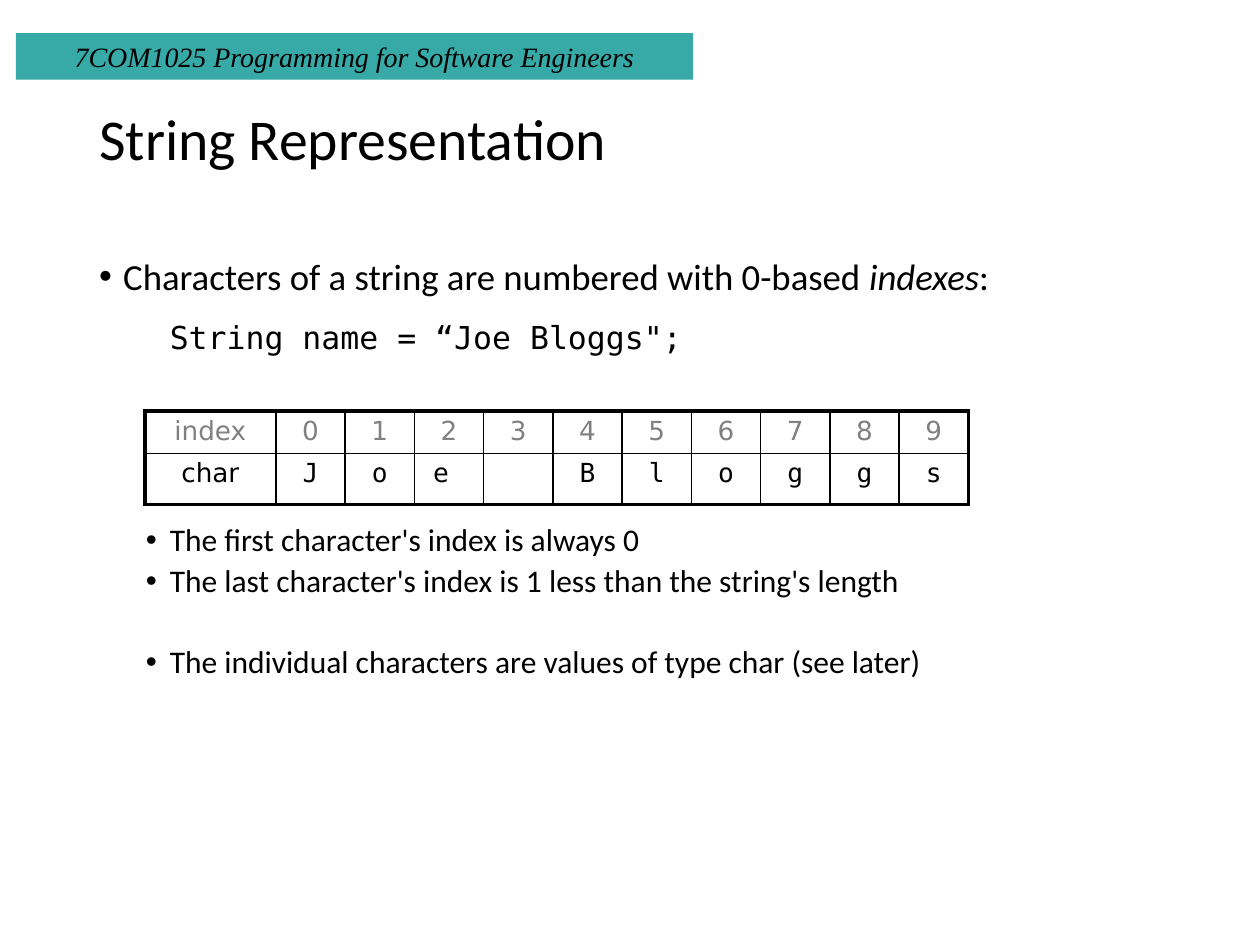
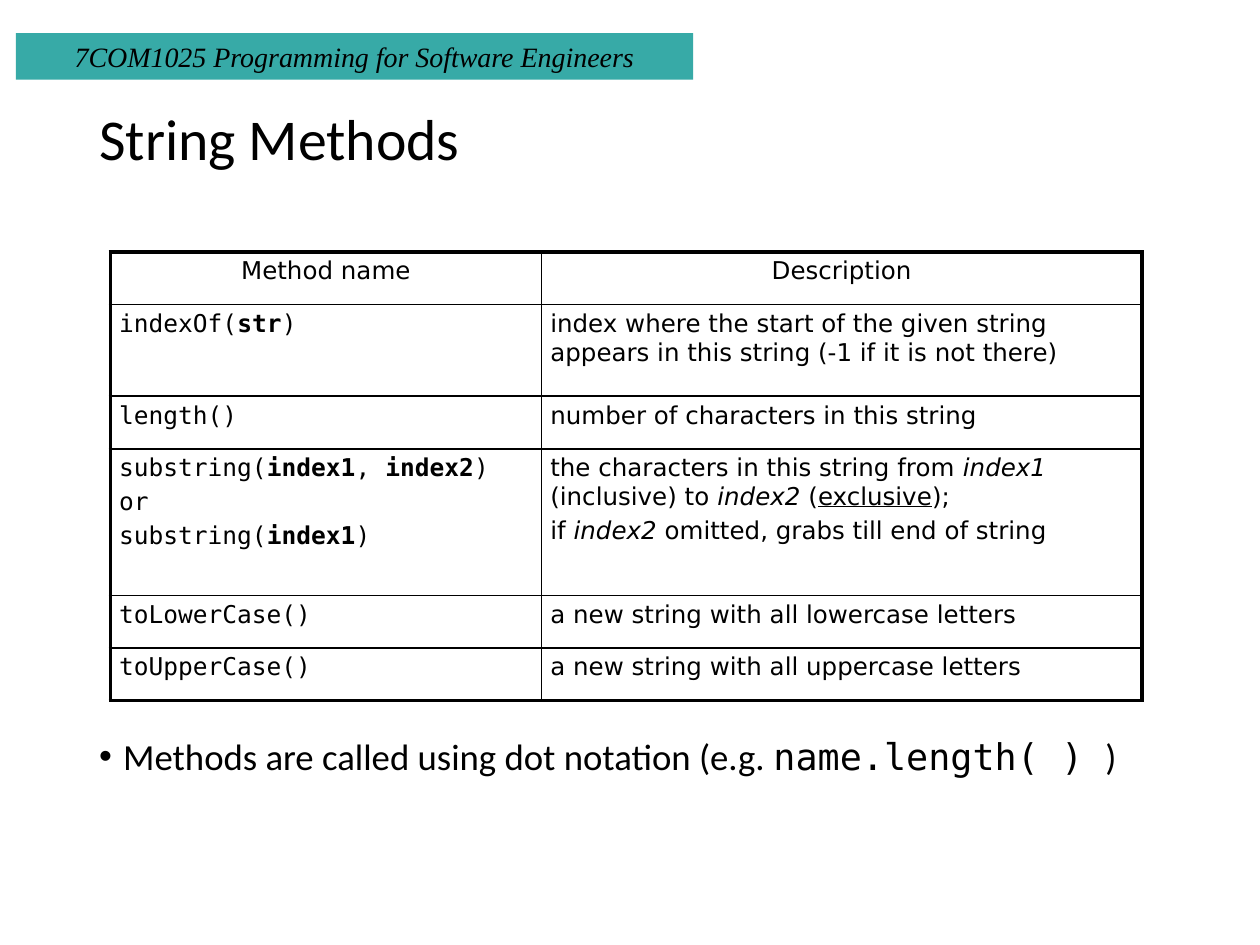
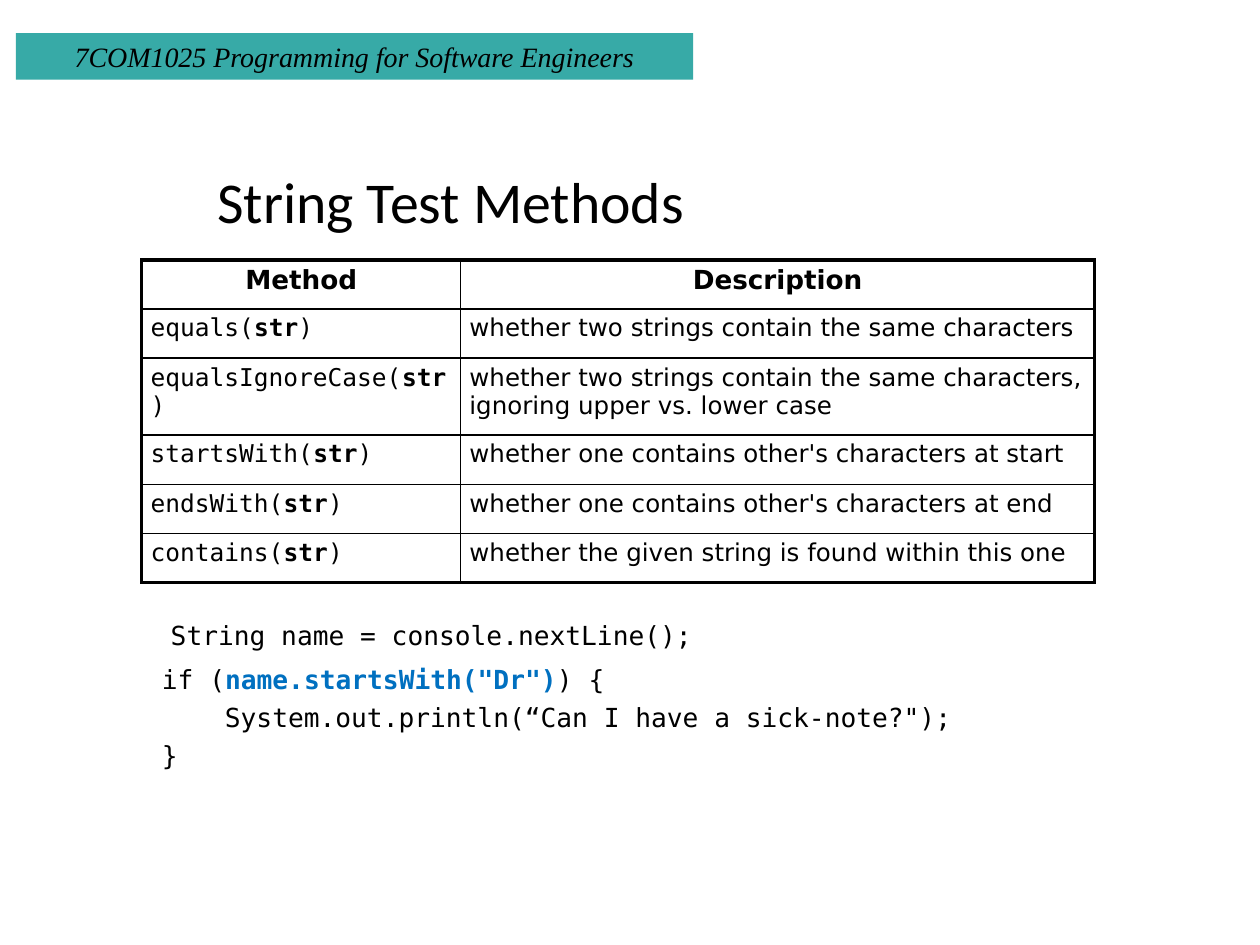
from lxml import etree
from pptx import Presentation
from pptx.dml.color import RGBColor
from pptx.enum.shapes import MSO_SHAPE
from pptx.enum.text import MSO_ANCHOR, MSO_AUTO_SIZE, PP_ALIGN
from pptx.oxml.ns import qn
from pptx.util import Inches, Pt

RECTANGLE = MSO_SHAPE.RECTANGLE
LEFT, CENTER = PP_ALIGN.LEFT, PP_ALIGN.CENTER
TOP, MIDDLE = MSO_ANCHOR.TOP, MSO_ANCHOR.MIDDLE
NO_FIT = MSO_AUTO_SIZE.NONE

WIDTH, HEIGHT = Inches(10), Inches(7.5)
UNIT = WIDTH / 80  # the slide is a grid of 80 columns by 60 rows

BLACK, GREY, TEAL, BLUE = "000000", "808080", "37AAA7", "0070C0"
SANS, MONO = "DejaVu Sans", "DejaVu Sans Mono"
BOLD, ITALIC, UNDERLINE = {"bold": True}, {"italic": True}, {"underline": True}

BAND = {"name": "Times New Roman", "size": Pt(16), "italic": True}
TITLE = {"name": "Calibri", "size": Pt(33)}
POINT = {"name": "Calibri", "size": Pt(21)}
SUBPOINT = {"name": "Calibri", "size": Pt(18)}
CODE = {"name": MONO, "size": Pt(15)}
CELL = {"name": SANS, "size": Pt(14)}
CELL_CODE = CELL | {"name": MONO}

TITLE_BOX = (5.5, 3.2, 69, 11.6)
OUTER, INNER = Pt(2.25), Pt(1)


def color(hex_string):
    return RGBColor.from_string(hex_string)


def grid(box):
    return [round(value * UNIT) for value in box]


def set_values(target, values):
    for name, value in values.items():
        setattr(target, name, value)


def write(para, spans, look, **layout):
    """Fill a paragraph with spans, each a string or a (string, format) pair."""
    set_values(para, layout)
    for item in [spans] if isinstance(spans, str) else spans:
        text, extra = (item, {}) if isinstance(item, str) else item
        values = {"color": BLACK} | look | extra
        span = para.add_run()
        span.text = text
        span.font.color.rgb = color(values.pop("color"))
        set_values(span.font, values)


def paragraphs(frame, count):
    return [frame.paragraphs[0]] + [frame.add_paragraph() for _ in range(count - 1)]


def place(shape, box):
    set_values(shape, dict(zip(("left", "top", "width", "height"), grid(box))))


def add_band(deck, page):
    """Draw the course band and move it to the slide master."""
    band = page.shapes.add_shape(RECTANGLE, *grid((1, 2.1, 43, 2.96)))
    band.shadow.inherit = False
    band.fill.solid()
    band.fill.fore_color.rgb = color(TEAL)
    band.line.fill.background()
    write(band.text_frame.paragraphs[0], "7COM1025 Programming for Software Engineers",
          BAND, alignment=CENTER)
    deck.slide_master.shapes[0].element.addprevious(band.element)


def add_page(deck, title, box=TITLE_BOX):
    page = deck.slides.add_slide(deck.slide_layouts[1])
    place(page.shapes.title, box)
    frame = page.shapes.title.text_frame
    set_values(frame, {"auto_size": NO_FIT, "vertical_anchor": MIDDLE})
    write(frame.paragraphs[0], title, TITLE, alignment=LEFT, line_spacing=0.9)
    return page


def indent(para, margin, hanging, bullet):
    props = para._p.get_or_add_pPr()
    props.set("marL", str(Inches(margin)))
    props.set("indent", str(-Inches(hanging)))
    if bullet:
        etree.SubElement(props, qn("a:buChar")).set("char", "•")
    else:
        etree.SubElement(props, qn("a:buNone"))


def add_body(page, box, lines, line_spacing=0.9):
    """Fill the body with (spans, format, level, margin, space before, bullet) lines."""
    body = page.placeholders[1]
    place(body, box)
    frame = body.text_frame
    set_values(frame, {"auto_size": NO_FIT, "vertical_anchor": TOP, "word_wrap": True})
    for para, line in zip(paragraphs(frame, len(lines)), lines):
        spans, look, level, margin, before, bullet = line
        write(para, spans, look, level=level, alignment=LEFT,
              line_spacing=line_spacing, space_before=Pt(before), space_after=Pt(0))
        indent(para, margin, 0.19 if bullet else 0, bullet)


def point(*spans):
    return spans, POINT, 0, 0.19, 7.5, True


def subpoint(text, before=3.8):
    return text, SUBPOINT, 1, 0.56, before, True


def code(*spans, size=15, margin=0.56, before=0):
    return spans, CODE | {"size": Pt(size)}, 1, margin, before, False


def set_borders(cell, widths):
    """Draw left, right, top and bottom borders of the given widths."""
    props = cell._tc.get_or_add_tcPr()
    for place_in_order, (side, width) in enumerate(zip("LRTB", widths)):
        line = etree.Element(qn(f"a:ln{side}"), w=str(width))
        fill = etree.SubElement(line, qn("a:solidFill"))
        etree.SubElement(fill, qn("a:srgbClr")).set("val", BLACK)
        props.insert(place_in_order, line)


def fill_cell(cell, lines, look, alignment):
    set_values(cell, {"margin_left": Inches(0.07), "margin_right": Inches(0.07),
                      "margin_top": Inches(0.04), "margin_bottom": Inches(0.04)})
    cell.fill.background()
    for para, spans in zip(paragraphs(cell.text_frame, len(lines)), lines):
        write(para, spans, look, alignment=alignment, space_before=Pt(look["size"].pt * 0.2))


def add_grid_table(page, box, column_shares, row_shares, rows):
    """Add a table whose rows hold (lines, format, alignment) cells."""
    left, top, width, height = grid(box)
    table = page.shapes.add_table(len(rows), len(column_shares),
                                  left, top, width, height).table
    set_values(table, {"first_row": False, "horz_banding": False})
    for column, share in zip(table.columns, column_shares):
        column.width = round(width * share / sum(column_shares))
    for row, share in zip(table.rows, row_shares):
        row.height = round(height * share / sum(row_shares))
    last_row, last_column = len(rows) - 1, len(column_shares) - 1
    for r, row in enumerate(rows):
        for c, content in enumerate(row):
            cell = table.cell(r, c)
            fill_cell(cell, *content)
            edges = (c == 0, c == last_column, r == 0, r == last_row)
            set_borders(cell, [OUTER if edge else INNER for edge in edges])


def add_method_table(page, box, column_shares, row_shares, headings, heading_look, methods):
    rows = [[([heading], heading_look, CENTER) for heading in headings]]
    rows += [[(calls, CELL_CODE, LEFT), (notes, CELL, LEFT)] for calls, notes in methods]
    add_grid_table(page, box, column_shares, row_shares, rows)


def call(name, *arguments):
    """Give the spans of a method call with its arguments in bold."""
    spans = [name + "("]
    for number, argument in enumerate(arguments):
        spans += [", "] if number else []
        spans.append((argument, BOLD))
    return spans + [")"]


def add_representation(deck):
    page = add_page(deck, "String Representation")
    add_band(deck, page)
    add_body(page, (5.5, 16, 69, 38), [
        point("Characters of a string are numbered with 0-based ", ("indexes", ITALIC), ":"),
        code("String name = “Joe Bloggs\";", size=18, before=14),
        subpoint("The first character's index is always 0", before=96),
        subpoint("The last character's index is 1 less than the string's length"),
        subpoint("The individual characters are values of type char (see later)", before=27),
    ])
    label = CELL | {"size": Pt(15)}
    letters = ["J", "o", "e ", "", "B", "l", "o", "g", "g", "s"]
    indexes = ["index", *map(str, range(len(letters)))]
    rows = [
        [([text], label | {"color": GREY}, CENTER) for text in indexes],
        [(["char"], label, CENTER)]
        + [([letter] if letter else [[]], CODE, CENTER) for letter in letters],
    ]
    add_grid_table(page, (9.2, 26.1, 52.3, 5.95), [1.04] + [0.55] * len(letters),
                   [0.34, 0.41], rows)


def add_methods(deck):
    page = add_page(deck, "String Methods")
    add_method_table(
        page, (7, 16, 65.5, 28.5), [3.42, 4.76], [0.42, 0.73, 0.42, 1.17, 0.42, 0.42],
        ["Method name", "Description"], CELL, [
            ([call("indexOf", "str")],
             ["index where the start of the given string appears in this string "
              "(-1 if it is not there)"]),
            ([call("length")], ["number of characters in this string"]),
            ([call("substring", "index1", "index2"), "or", call("substring", "index1")],
             [["the characters in this string from ", ("index1", ITALIC), " (inclusive) to ",
               ("index2", ITALIC), " (", ("exclusive", UNDERLINE), ");"],
              ["if ", ("index2", ITALIC), " omitted, grabs till end of string"]]),
            ([call("toLowerCase")], ["a new string with all lowercase letters"]),
            ([call("toUpperCase")], ["a new string with all uppercase letters"]),
        ])
    add_body(page, (5.5, 46.5, 72, 4.5), [
        point("Methods are called using dot notation (e.g. ",
              ("name.length( ) ", {"name": MONO}), ")"),
    ])


def add_test_methods(deck):
    page = add_page(deck, "String Test Methods", (13, 10, 54, 6))
    add_body(page, (5, 38.5, 71, 12), [
        code("String name = console.nextLine();", margin=0.63, before=3.8),
        code("if (", ("name.startsWith(\"Dr\")", BOLD | {"color": BLUE}), ") {", before=3.8),
        code("System.out.println(“Can I have a sick-note?\");", margin=1.06),
        code("}"),
    ], line_spacing=1.2)
    tests = {
        "equals": "whether two strings contain the same characters",
        "equalsIgnoreCase": "whether two strings contain the same characters, "
                            "ignoring upper vs. lower case",
        "startsWith": "whether one contains other's characters at start",
        "endsWith": "whether one contains other's characters at end",
        "contains": "whether the given string is found within this one",
    }
    add_method_table(
        page, (9, 16.5, 60.5, 20.5), [2.53, 5.03], [0.39, 0.39, 0.61, 0.39, 0.39, 0.39],
        ["Method", "Description"], CELL | BOLD | {"size": Pt(15)},
        [([call(name, "str")], [note]) for name, note in tests.items()])


def main():
    deck = Presentation()
    deck.slide_width, deck.slide_height = WIDTH, HEIGHT
    add_representation(deck)
    add_methods(deck)
    add_test_methods(deck)
    deck.save("out.pptx")


if __name__ == "__main__":
    main()
